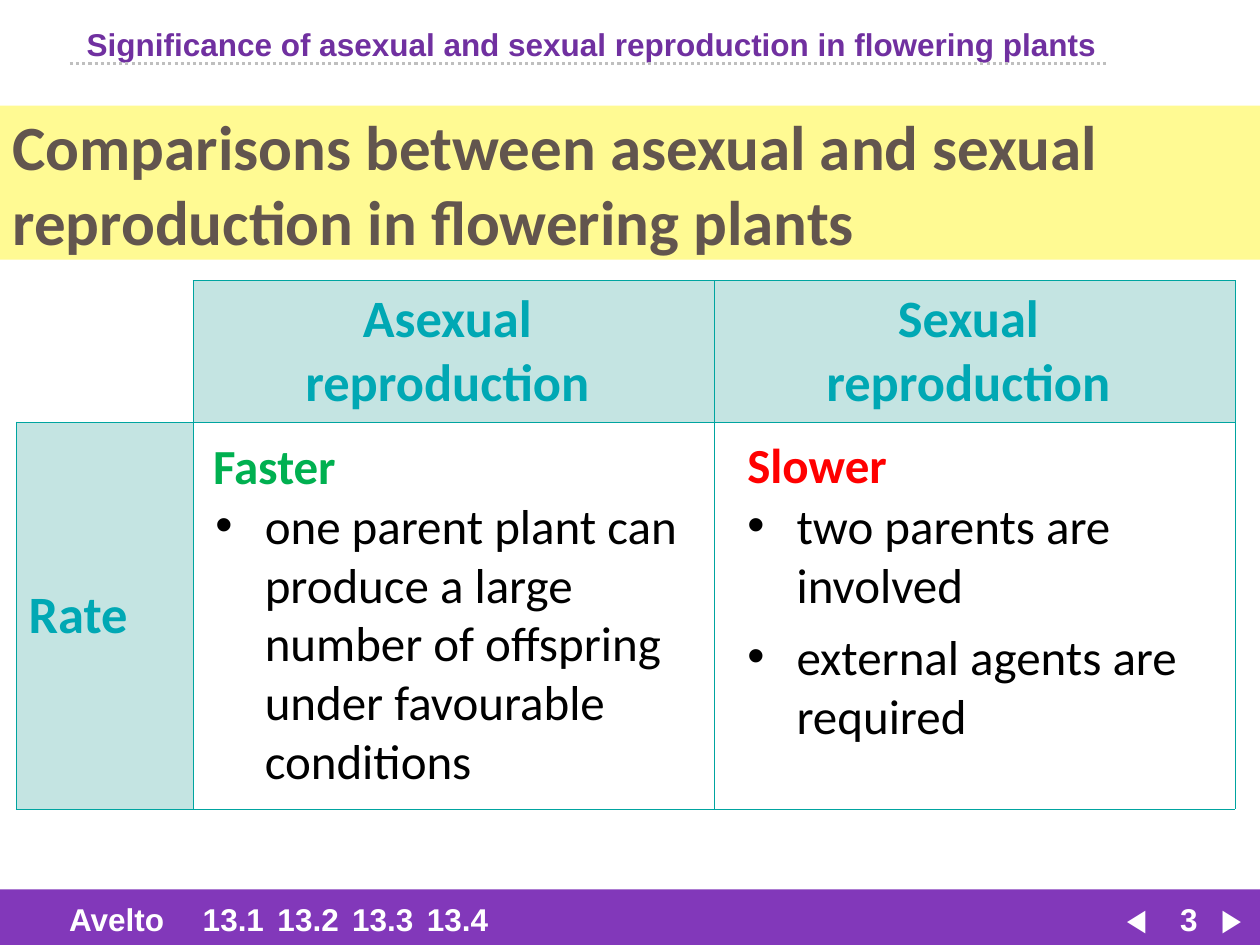
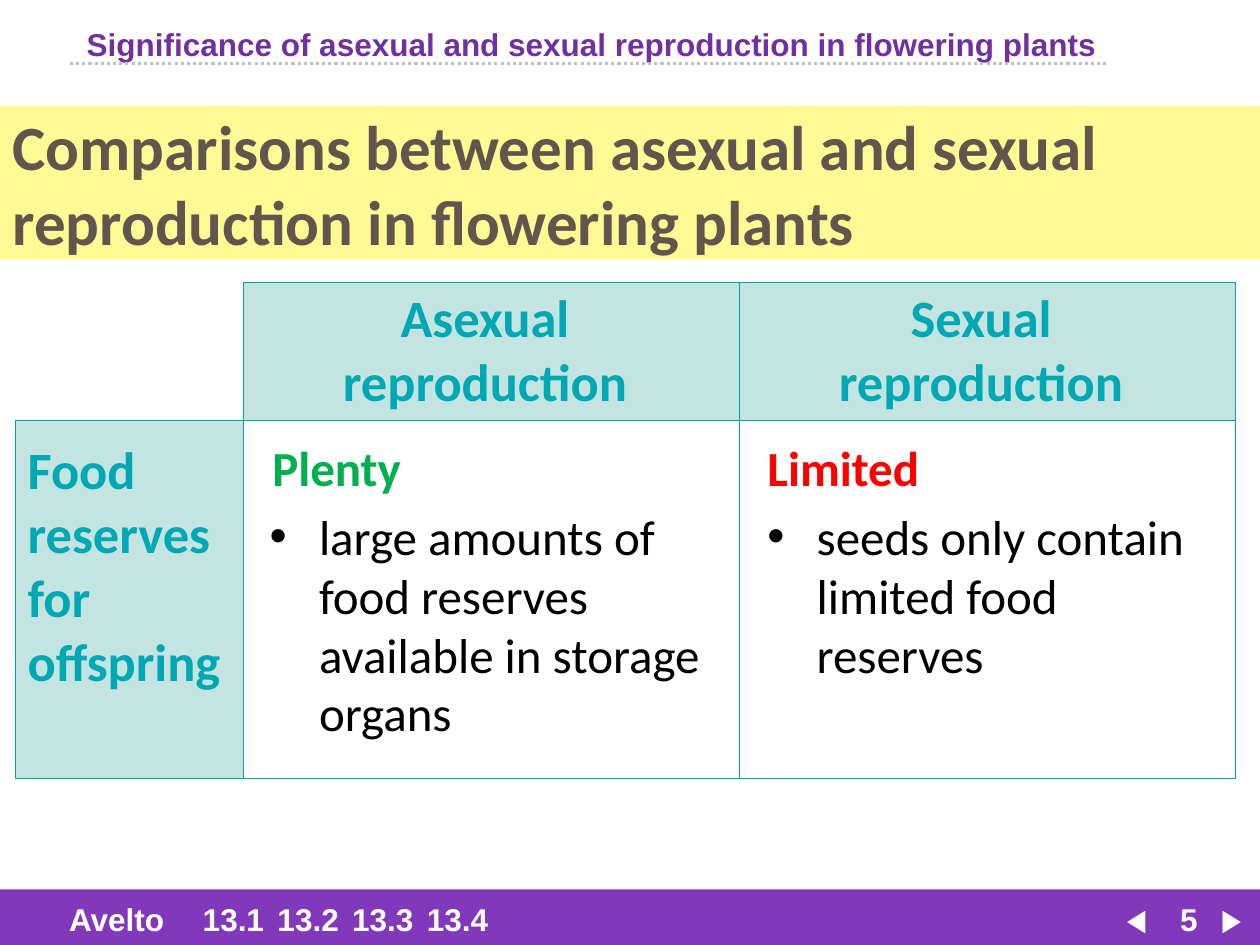
from dataclasses import dataclass
from typing import NamedTuple

from lxml.etree import SubElement
from pptx import Presentation
from pptx.dml.color import RGBColor
from pptx.enum.dml import MSO_LINE
from pptx.enum.shapes import MSO_CONNECTOR, MSO_SHAPE
from pptx.enum.text import MSO_ANCHOR, MSO_AUTO_SIZE, PP_ALIGN
from pptx.oxml.ns import qn
from pptx.util import Pt


class TextStyle(NamedTuple):
    font: str
    size: float
    color: str
    bold: bool = True


class Box(NamedTuple):
    left: float
    top: float
    width: float
    height: float


@dataclass(frozen=True)
class Theme:
    footer_fill: str = "8238BA"
    title_fill: str = "FFFA93"
    cell_fill: str = "C4E4E2"
    border: str = "00A4A0"
    rule: str = "BFBFBF"
    border_width: float = 0.45
    rule_width: float = 1.75
    section: TextStyle = TextStyle("Arial", 18, "7030A0")
    footer: TextStyle = TextStyle("Arial", 18, "FFFFFF")
    arrow: TextStyle = TextStyle("Arial", 18, "FFFFFF", False)
    title: TextStyle = TextStyle("Calibri", 36, "62554E")
    table: TextStyle = TextStyle("Calibri", 30, "00A8B4")
    good: TextStyle = TextStyle("Calibri", 28, "00B050")
    poor: TextStyle = TextStyle("Calibri", 28, "FF0000")
    body: TextStyle = TextStyle("Calibri", 28, "000000", False)


@dataclass(frozen=True)
class Side:
    """Format and placeholder numbers of one column of findings."""
    heading_style: TextStyle
    heading_idx: int
    list_idx: int
    heading_indent: float
    list_indent: float
    list_gap: float


@dataclass(frozen=True)
class Finding:
    heading: str
    heading_box: Box
    points: list[str]
    list_box: Box


@dataclass(frozen=True)
class Comparison:
    number: int
    label: list[str]
    table: Box
    label_width: float
    header_height: float
    label_bottom: float
    findings: list[Finding]


THEME = Theme()
SECTION = "Significance of asexual and sexual reproduction in flowering plants"
TITLE = "Comparisons between asexual and sexual reproduction in flowering plants"
HEADERS = [["Asexual ", "reproduction "], ["Sexual ", "reproduction "]]
CHAPTERS = ["13.1", "13.2", "13.3", "13.4"]
HANG = 28.2
SIDES = [
    Side(THEME.good, 1, 2, 5.8, HANG, 0),
    Side(THEME.poor, 3, 4, 7.2, 35.4, 7.6),
]
COMPARISONS = [
    Comparison(
        3, ["Rate"], Box(9.2, 160.3, 696.5, 302), 101, 80.8, 3.6,
        [
            Finding("Faster", Box(108.7, 245.5, 100, 41),
                    ["one parent plant can produce a large number of offspring "
                     "under favourable conditions"],
                    Box(115.9, 279.4, 282.2, 175.7)),
            Finding("Slower", Box(412.6, 244.4, 110, 41),
                    ["two parents are involved", "external agents are required"],
                    Box(412.6, 279.4, 282.2, 149.8)),
        ]),
    Comparison(
        5, ["Food reserves for", "offspring"],
        Box(8.6, 161.2, 697.2, 283.6), 130.3, 79.2, 40.2,
        [
            Finding("Plenty", Box(142.6, 246.2, 110, 41),
                    ["large amounts of food reserves available in storage organs"],
                    Box(146.9, 285.8, 265, 141.8)),
            Finding("Limited", Box(424.1, 246.2, 122, 41),
                    ["seeds only contain limited food reserves"],
                    Box(424.1, 285.8, 282.2, 108)),
        ]),
]


def apply(target, **values) -> None:
    for name, value in values.items():
        setattr(target, name, value)


def points(box: Box) -> list[Pt]:
    return [Pt(v) for v in box]


def place(shape, box: Box) -> None:
    apply(shape, **dict(zip(box._fields, points(box))))


def paint(fill, color: str) -> None:
    fill.solid()
    fill.fore_color.rgb = RGBColor.from_string(color)


def write(tf, lines: list[str], style: TextStyle, align=PP_ALIGN.LEFT,
          gap: float = 0, margin: float = 0, hang: float = 0) -> None:
    """Fill a text frame, one paragraph a line, with an optional hanging indent."""
    for i, line in enumerate(lines):
        p = tf.add_paragraph() if i else tf.paragraphs[0]
        apply(p, alignment=align, space_before=Pt(0), space_after=Pt(gap))
        pPr = p._p.get_or_add_pPr()
        pPr.set("marL", str(Pt(margin)))
        pPr.set("indent", str(Pt(-hang)))
        r = p.add_run()
        r.text = line
        apply(r.font, name=style.font, size=Pt(style.size), bold=style.bold)
        r.font.color.rgb = RGBColor.from_string(style.color)


def add_label(s, text: str, box: Box, style: TextStyle,
              align=PP_ALIGN.LEFT, inset: float = 7.2) -> None:
    tf = s.shapes.add_textbox(*points(box)).text_frame
    apply(tf, word_wrap=True, margin_left=Pt(inset), margin_right=Pt(inset))
    write(tf, [text], style, align)


def fill_placeholder(s, idx: int, box: Box, lines: list[str], style: TextStyle,
                     anchor=MSO_ANCHOR.TOP, **paragraph):
    sp = s.placeholders[idx]
    place(sp, box)
    apply(sp.text_frame, word_wrap=True, auto_size=MSO_AUTO_SIZE.NONE,
          vertical_anchor=anchor)
    write(sp.text_frame, lines, style, **paragraph)
    return sp


def add_section_header(s) -> None:
    add_label(s, SECTION, Box(42.5, 10.8, 640.8, 28.8), THEME.section)
    rule = s.shapes.add_connector(MSO_CONNECTOR.STRAIGHT,
                                  Pt(40), Pt(36.4), Pt(632), Pt(36.4))
    apply(rule.line, width=Pt(THEME.rule_width), dash_style=MSO_LINE.ROUND_DOT)
    rule.line.color.rgb = RGBColor.from_string(THEME.rule)
    SubElement(rule._element.spPr, qn("a:effectLst"))


def add_footer(s, number: int) -> None:
    band = s.shapes.add_shape(MSO_SHAPE.RECTANGLE,
                              *points(Box(0, 508.3, 720, 31.7)))
    band.shadow.inherit = False
    paint(band.fill, THEME.footer_fill)
    band.line.fill.background()
    top, height = 510.5, 28.8
    add_label(s, "Avelto", Box(32.4, top, 72.7, height), THEME.footer)
    for i, chapter in enumerate(CHAPTERS):
        add_label(s, chapter, Box(113 + 42.7 * i, top, 44, height),
                  THEME.footer, inset=2.9)
    add_label(s, str(number), Box(657.4, top, 43.9, height), THEME.footer,
              PP_ALIGN.CENTER)
    add_label(s, "◀", Box(636.5, top, 35.3, height), THEME.arrow)
    add_label(s, "▶", Box(690.5, top, 27.4, height), THEME.arrow)


def add_borders(cell, edges: str) -> None:
    """Line the given edges (of L, R, T, B) and clear the others."""
    tcPr = cell._tc.get_or_add_tcPr()
    for edge in "LRTB":
        ln = SubElement(tcPr, qn(f"a:ln{edge}"), w=str(Pt(THEME.border_width)))
        if edge in edges:
            fill = SubElement(ln, qn("a:solidFill"))
            SubElement(fill, qn("a:srgbClr"), val=THEME.border)
        else:
            SubElement(ln, qn("a:noFill"))


def add_comparison_table(s, c: Comparison) -> None:
    table = s.shapes.add_table(2, 3, *points(c.table)).table
    apply(table, first_row=False, horz_banding=False)
    side_width = (c.table.width - c.label_width) / 2
    for column, width in zip(table.columns, [c.label_width, side_width, side_width]):
        column.width = Pt(width)
    heights = [c.header_height, c.table.height - c.header_height]
    for row, height in zip(table.rows, heights):
        row.height = Pt(height)

    for i, cell in enumerate(table.iter_cells()):
        add_borders(cell, "LRTB" if i else "RB")
        cell.fill.background()
        cell.vertical_anchor = MSO_ANCHOR.MIDDLE
    for i, header in enumerate(HEADERS, start=1):
        cell = table.cell(0, i)
        paint(cell.fill, THEME.cell_fill)
        apply(cell, margin_top=Pt(2.5), margin_bottom=Pt(2.5))
        write(cell.text_frame, header, THEME.table, PP_ALIGN.CENTER)
    label = table.cell(1, 0)
    paint(label.fill, THEME.cell_fill)
    label.margin_bottom = Pt(c.label_bottom)
    write(label.text_frame, c.label, THEME.table)


def add_finding(s, finding: Finding, side: Side) -> None:
    fill_placeholder(s, side.heading_idx, finding.heading_box, [finding.heading],
                     side.heading_style, margin=side.heading_indent)
    fill_placeholder(s, side.list_idx, finding.list_box, finding.points, THEME.body,
                     gap=side.list_gap, margin=side.list_indent, hang=HANG)


def add_comparison_slide(prs, c: Comparison) -> None:
    s = prs.slides.add_slide(prs.slide_layouts.get_by_name("Comparison"))
    add_section_header(s)
    add_footer(s, c.number)
    title = fill_placeholder(s, 0, Box(0, 60.4, 720, 88), [TITLE], THEME.title,
                             anchor=MSO_ANCHOR.MIDDLE)
    paint(title.fill, THEME.title_fill)
    add_comparison_table(s, c)
    for finding, side in zip(c.findings, SIDES):
        add_finding(s, finding, side)


def main() -> None:
    prs = Presentation()
    apply(prs, slide_width=Pt(720), slide_height=Pt(540))
    for comparison in COMPARISONS:
        add_comparison_slide(prs, comparison)
    prs.save("out.pptx")


if __name__ == "__main__":
    main()
